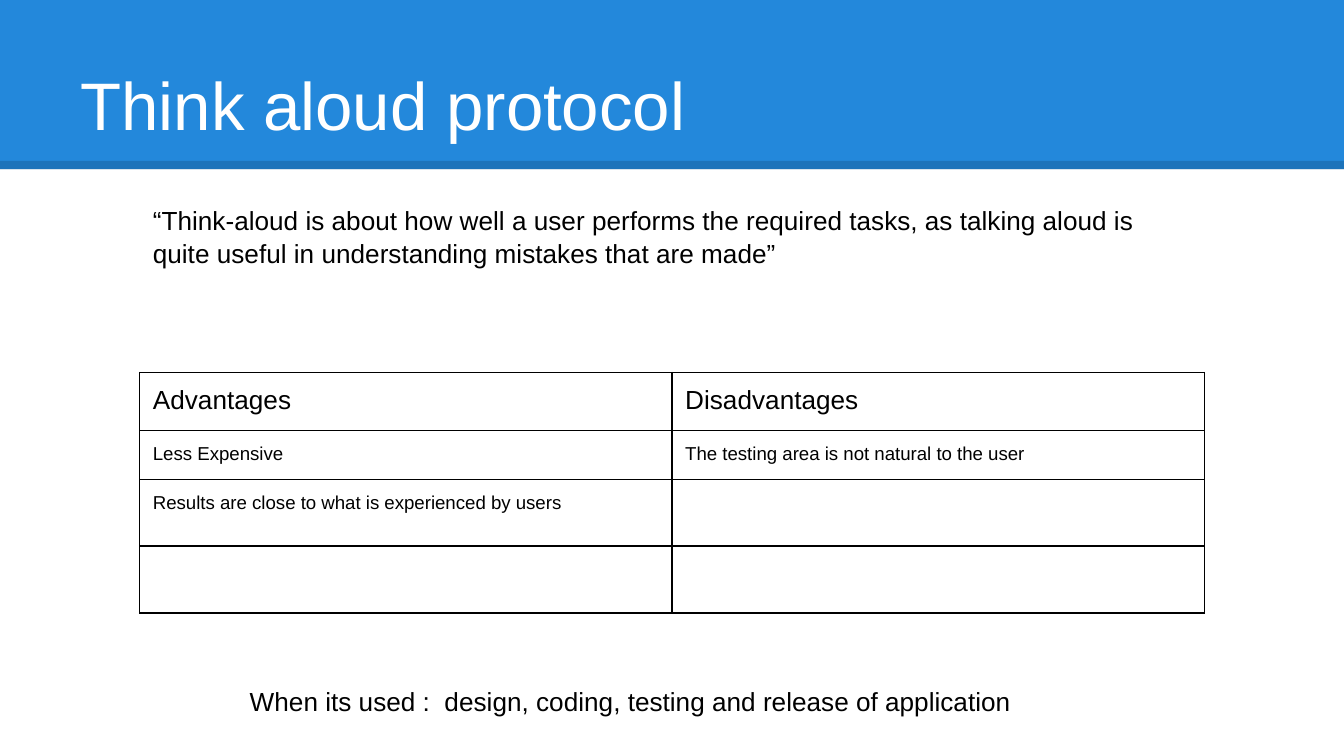
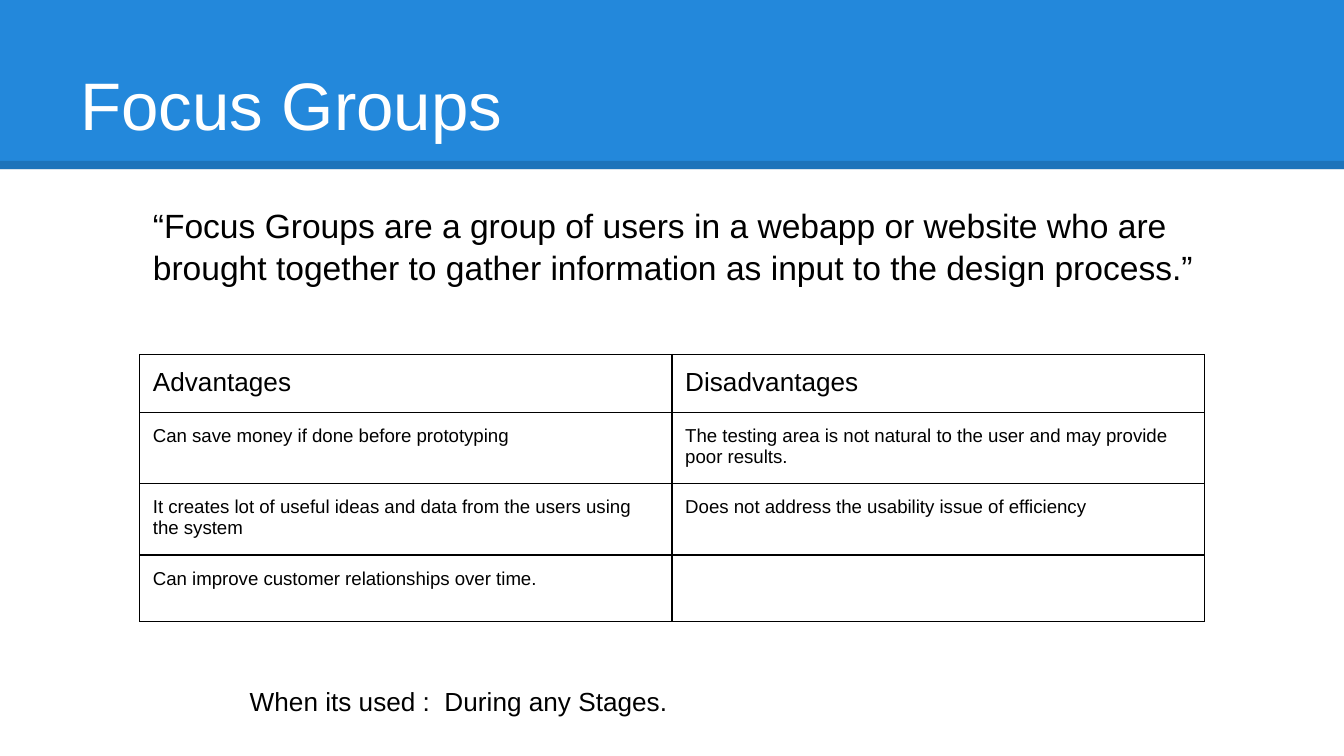
from dataclasses import dataclass

from lxml.etree import SubElement
from pptx import Presentation
from pptx.dml.color import RGBColor
from pptx.enum.shapes import MSO_CONNECTOR, MSO_SHAPE
from pptx.enum.text import MSO_ANCHOR, MSO_AUTO_SIZE, PP_ALIGN
from pptx.oxml.ns import qn
from pptx.presentation import Presentation as Deck
from pptx.slide import Slide
from pptx.text.text import TextFrame
from pptx.util import Cm, Pt

BLUE = RGBColor(0x23, 0x88, 0xDB)
WHITE = RGBColor(0xFF, 0xFF, 0xFF)
BLACK = RGBColor(0x00, 0x00, 0x00)
FONT = "Arial"
INSET = Cm(0.25)
SLIDE_W, SLIDE_H = Cm(25.4), Cm(14.29)
BAND_H, RULE_Y = Cm(3.2), Cm(3.12)
CONTENT_X = Cm(2.64)
COL_W = Cm(10.06)
HEADERS = ("Advantages", "Disadvantages")


@dataclass
class Method:
    title: str
    quote: str
    quote_size: int
    used: str
    table_top: float
    row_heights: tuple[float, ...]
    rows: tuple[tuple[str, str], ...]


METHODS = (
    Method(
        "Think aloud protocol",
        "“Think-aloud is about how well a user performs the required tasks, "
        "as talking aloud is quite useful in understanding mistakes that are made”",
        14,
        "design, coding, testing and release of application",
        7.04,
        (1.05, 0.9, 1.21, 1.21),
        (
            ("Less Expensive", "The testing area is not natural to the user"),
            ("Results are close to what is experienced by users", ""),
            ("", ""),
        ),
    ),
    Method(
        "Focus Groups",
        "“Focus Groups are a group of users in a webapp or website who are "
        "brought together to gather information as input to the design process.”",
        18,
        "During any Stages.",
        6.7,
        (1.05, 1.29, 1.29, 1.21),
        (
            ("Can save money if done before prototyping",
             "The testing area is not natural to the user and may provide poor results."),
            ("It creates lot of useful ideas and data from the users using the system",
             "Does not address the usability issue of efficiency"),
            ("Can improve customer relationships over time.", ""),
        ),
    ),
)


def write(tf: TextFrame, text: str, size: int, color: RGBColor = BLACK) -> None:
    tf.word_wrap = True
    tf.text = text
    p = tf.paragraphs[0]
    p.alignment = PP_ALIGN.LEFT
    p.font.name, p.font.size, p.font.color.rgb = FONT, Pt(size), color


def set_insets(target) -> None:
    """Give a text frame or a table cell the shared margins."""
    target.margin_left = target.margin_right = INSET
    target.margin_top = target.margin_bottom = INSET


def add_header(s: Slide, title: str) -> None:
    # Blue band
    band = s.shapes.add_shape(MSO_SHAPE.RECTANGLE, 0, 0, SLIDE_W, BAND_H)
    band.shadow.inherit = False
    band.fill.solid()
    band.fill.fore_color.rgb = BLUE
    band.line.fill.background()

    # Translucent rule along the band's lower edge
    rule = s.shapes.add_connector(MSO_CONNECTOR.STRAIGHT, 0, RULE_Y, SLIDE_W, RULE_Y)
    rule.line.width = Pt(4.5)
    rule.line.color.rgb = BLACK
    for clr in rule.element.iter(qn("a:srgbClr")):
        SubElement(clr, qn("a:alpha"), val="15000")
    SubElement(rule.element.spPr, qn("a:effectLst"))

    # Title, brought in front of the band
    sp = s.shapes.title
    sp.left, sp.top, sp.width, sp.height = Cm(1.27), Cm(0.58), Cm(22.86), Cm(2.39)
    tf = sp.text_frame
    tf.auto_size = MSO_AUTO_SIZE.NONE
    tf.vertical_anchor = MSO_ANCHOR.BOTTOM
    set_insets(tf)
    write(tf, title, 36, WHITE)
    sp.element.getparent().append(sp.element)


def add_text(s: Slide, left: Cm, top: Cm, width: Cm, height: Cm,
             text: str, size: int) -> None:
    tf = s.shapes.add_textbox(left, top, width, height).text_frame
    set_insets(tf)
    write(tf, text, size)
    tf.paragraphs[0].line_spacing = 1.05


def add_borders(cell) -> None:
    tc_pr = cell._tc.get_or_add_tcPr()
    for side in ("a:lnL", "a:lnR", "a:lnT", "a:lnB"):
        ln = SubElement(tc_pr, qn(side), w=str(Pt(0.75)))
        fill = SubElement(ln, qn("a:solidFill"))
        SubElement(fill, qn("a:srgbClr"), val=str(BLACK))


def add_comparison(s: Slide, method: Method) -> None:
    rows = (HEADERS, *method.rows)
    heights = [Cm(h) for h in method.row_heights]
    table = s.shapes.add_table(len(rows), len(HEADERS), CONTENT_X, Cm(method.table_top),
                               COL_W * len(HEADERS), sum(heights)).table
    table.first_row = table.horz_banding = False
    for col in table.columns:
        col.width = COL_W
    for i, (texts, height) in enumerate(zip(rows, heights)):
        table.rows[i].height = height
        for j, text in enumerate(texts):
            cell = table.cell(i, j)
            set_insets(cell)
            add_borders(cell)
            cell.fill.background()
            if text:
                write(cell.text_frame, text, 14 if i == 0 else 10)


def add_method(prs: Deck, method: Method) -> None:
    s = prs.slides.add_slide(prs.slide_layouts.get_by_name("Title Only"))
    s.background.fill.solid()
    s.background.fill.fore_color.rgb = WHITE
    add_header(s, method.title)
    add_text(s, CONTENT_X, Cm(3.58), Cm(20.24), Cm(2.72), method.quote, method.quote_size)
    add_comparison(s, method)
    add_text(s, Cm(4.47), Cm(12.67), Cm(16.46), Cm(1.09),
             f"When its used :  {method.used}", 14)


def main() -> None:
    prs = Presentation()
    prs.slide_width, prs.slide_height = SLIDE_W, SLIDE_H
    for method in METHODS:
        add_method(prs, method)
    prs.save("out.pptx")


if __name__ == "__main__":
    main()
